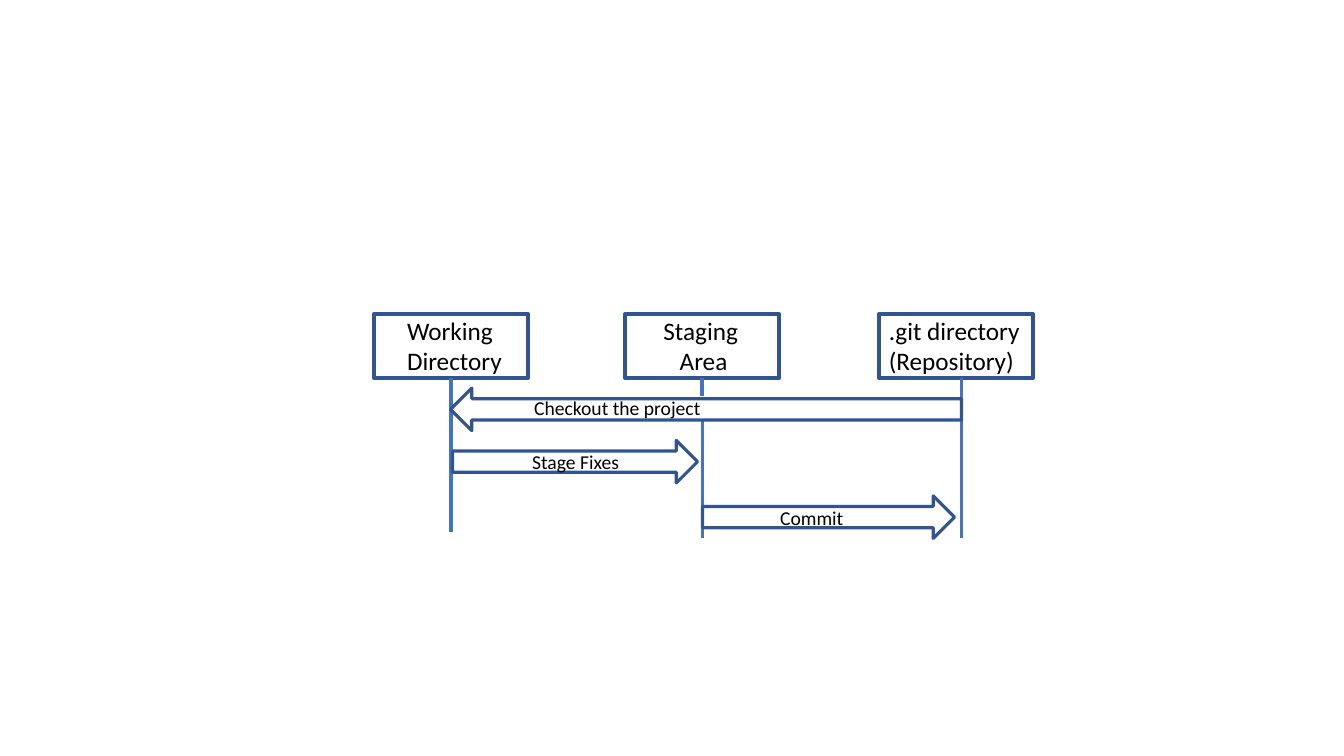
"""Build a sequence diagram of the git workflow between three areas."""
from lxml.etree import SubElement
from pptx import Presentation
from pptx.dml.color import RGBColor
from pptx.enum.shapes import MSO_CONNECTOR, MSO_SHAPE
from pptx.enum.text import MSO_AUTO_SIZE, PP_ALIGN
from pptx.oxml.ns import qn
from pptx.util import Pt

OUTLINE = RGBColor(0x32, 0x54, 0x91)
LIFELINE = RGBColor(0x44, 0x72, 0xC4)
BLACK = RGBColor(0, 0, 0)

BOX_TOP, BOX_WIDTH, BOX_HEIGHT = 224.6, 110.2, 45.4
BOX_BOTTOM = BOX_TOP + BOX_HEIGHT
AREA_LEFTS = [267.1, 446.4, 627.8]
LIFELINES = [
    {"area": 0, "x": 322.2, "top": BOX_BOTTOM, "bottom": 380.2},
    {"area": 1, "x": 501.5, "top": BOX_BOTTOM, "bottom": 283},
    {"area": None, "x": 501.8, "top": 299.5, "bottom": 384.5},
    {"area": None, "x": 686.9, "top": BOX_BOTTOM, "bottom": 384.5},
]
ARROW_HEIGHT = 30.4
ARROWS = [
    {"left": 323.3, "top": 314.6, "width": 175, "rotation": 0},
    {"left": 501.8, "top": 354.2, "width": 180, "rotation": 0},
    {"left": 321.8, "top": 277.2, "width": 365, "rotation": 180},
]
AREA_FORMAT = {"size": Pt(18), "name": "Calibri"}
ACTION_FORMAT = {"size": Pt(14), "name": "Calibri"}
LABELS = [
    (["Working Directory"], (283.7, 221.8, 84.2, 51), PP_ALIGN.LEFT, AREA_FORMAT),
    (["Staging ", "Area"], (465.1, 221.8, 74.9, 51), PP_ALIGN.CENTER, AREA_FORMAT),
    ([".git directory", "(Repository)"], (627.8, 221.8, 118.8, 51), PP_ALIGN.LEFT, AREA_FORMAT),
    (["Checkout the project"], (374.4, 279.5, 181.4, 24.2), PP_ALIGN.LEFT, ACTION_FORMAT),
    (["Stage Fixes"], (373, 317.5, 113.8, 24.2), PP_ALIGN.LEFT, ACTION_FORMAT),
    (["Commit"], (550.1, 357.8, 113.8, 24.2), PP_ALIGN.LEFT, ACTION_FORMAT),
]


def add_outline(slide, kind, bounds, weight):
    outline = slide.shapes.add_shape(kind, *map(Pt, bounds))
    outline.shadow.inherit = False
    outline.fill.background()
    outline.line.color.rgb = OUTLINE
    outline.line.width = Pt(weight)
    return outline


def add_lifeline(slide, lifeline, areas):
    x, top, bottom = (Pt(lifeline[key]) for key in ("x", "top", "bottom"))
    line = slide.shapes.add_connector(MSO_CONNECTOR.STRAIGHT, x, top, x, bottom)
    if lifeline["area"] is not None:
        line.begin_connect(areas[lifeline["area"]], 2)
    line.line.color.rgb = LIFELINE
    line.line.width = Pt(2.25)
    SubElement(line._element.spPr, qn("a:effectLst"))


def add_label(slide, lines, bounds, alignment, text_format):
    frame = slide.shapes.add_textbox(*map(Pt, bounds)).text_frame
    frame.word_wrap = True
    frame.auto_size = MSO_AUTO_SIZE.SHAPE_TO_FIT_TEXT
    frame.text = "\n".join(lines)
    for paragraph in frame.paragraphs:
        paragraph.alignment = alignment
        font = paragraph.runs[0].font
        font.color.rgb = BLACK
        for attribute, value in text_format.items():
            setattr(font, attribute, value)


def main():
    deck = Presentation()
    deck.slide_width, deck.slide_height = Pt(960), Pt(540)
    slide = deck.slides.add_slide(deck.slide_layouts[6])
    areas = [
        add_outline(slide, MSO_SHAPE.RECTANGLE, (left, BOX_TOP, BOX_WIDTH, BOX_HEIGHT), 3)
        for left in AREA_LEFTS
    ]
    for lifeline in LIFELINES:
        add_lifeline(slide, lifeline, areas)
    for arrow in ARROWS:
        bounds = (arrow["left"], arrow["top"], arrow["width"], ARROW_HEIGHT)
        outline = add_outline(slide, MSO_SHAPE.RIGHT_ARROW, bounds, 2.25)
        outline.rotation = arrow["rotation"]
    for label in LABELS:
        add_label(slide, *label)
    deck.save("out.pptx")


if __name__ == "__main__":
    main()
